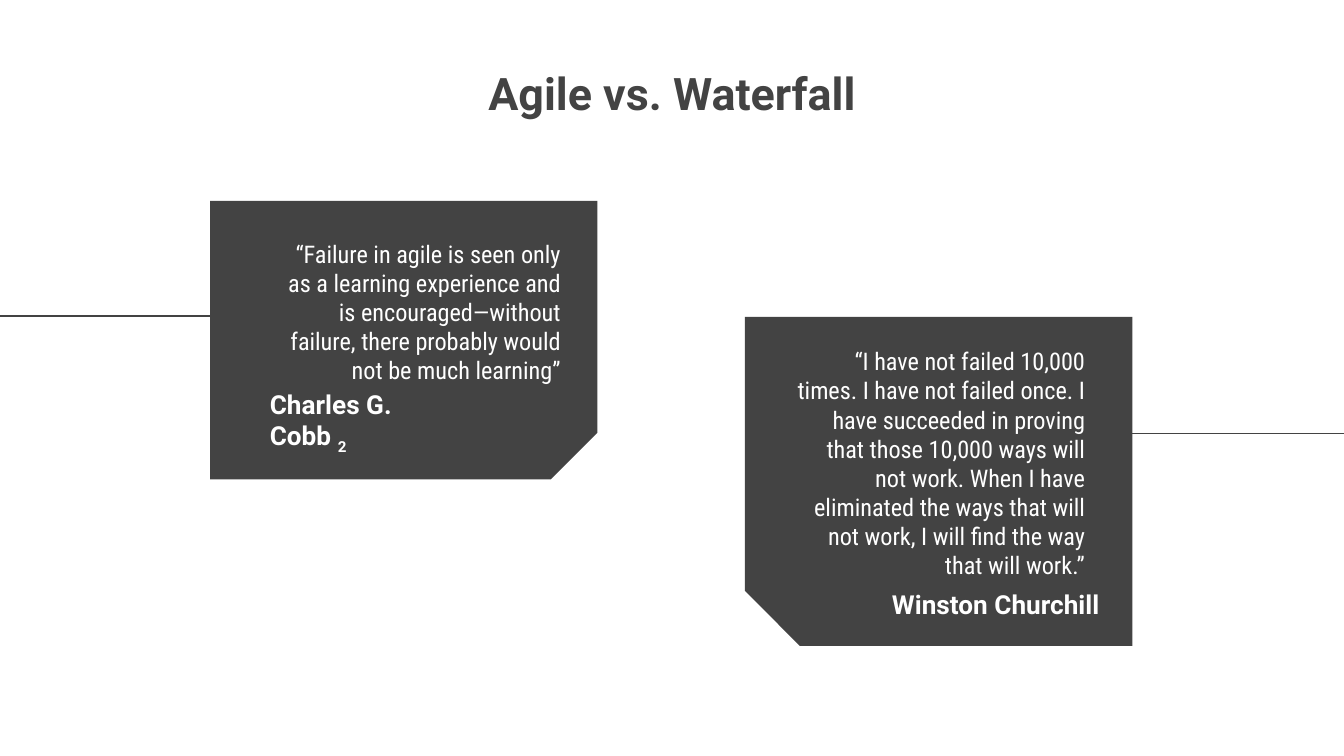
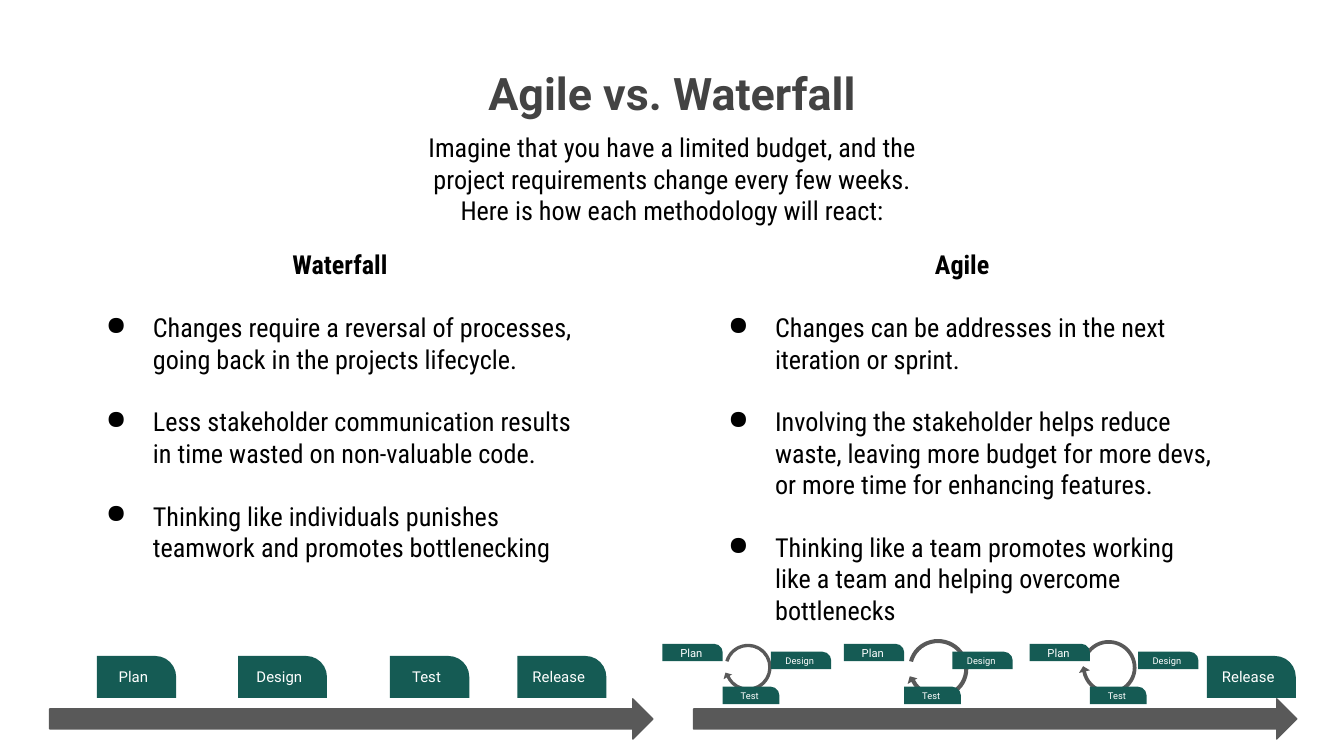
import pptx
import pptx.util
import pptx.dml.color
import pptx.enum.shapes
import pptx.enum.text
import pptx.oxml.ns
import pptx.oxml.xmlchemy

Cm = pptx.util.Cm
Pt = pptx.util.Pt
SHAPE = pptx.enum.shapes.MSO_SHAPE
ALIGN = pptx.enum.text.PP_ALIGN
ANCHOR = pptx.enum.text.MSO_ANCHOR

COLORS = {"dark": "434343", "gray": "595959", "green": "155B54",
          "white": "FFFFFF", "black": "000000"}
HEAD, BODY = "Roboto", "Roboto Condensed"
INSET = 0.25
LINE_GAP = 16.9

TITLE = "Agile vs. Waterfall"

QUOTES = [
    {"card": (14.63, 5.44, 6.22, 7.32), "rotation": 270, "flip": True,
     "rule": (25.4, 18.57, 8.2),
     "quote": "“I have not failed 10,000 times. I have not failed once. I have succeeded in proving "
              "that those 10,000 ways will not work. When I have eliminated the ways that will "
              "not work, I will find the way that will work.”",
     "quote_box": (14.76, 6.3, 5.99, 4.42),
     "author": "Winston Churchill", "note": "",
     "author_box": (15.77, 10.87, 5.26, 1.09), "author_align": ALIGN.RIGHT},
    {"card": (5, 2.77, 5.26, 7.32), "rotation": 90, "flip": False,
     "rule": (6.73, 0, 5.97),
     "quote": "“Failure in agile is seen only as a learning experience and is encouraged—without "
              "failure, there probably would not be much learning”",
     "quote_box": (4.85, 4.27, 5.99, 2.79),
     "author": "Charles G. Cobb ", "note": "2",
     "author_box": (4.85, 7.72, 3.51, 1.14), "author_align": ALIGN.LEFT},
]

INTRO = [
    "Imagine that you have a limited budget, and the project requirements change every few weeks.",
    "Here is how each methodology will react:",
]
METHODS = [
    (1.37, "Waterfall", [
        "Changes require a reversal of processes, going back in the projects lifecycle.",
        "Less stakeholder communication results in time wasted on non-valuable code.",
        "Thinking like individuals punishes teamwork and promotes bottlenecking",
    ]),
    (13.13, "Agile", [
        "Changes can be addresses in the next iteration or sprint.",
        "Involving the stakeholder helps reduce waste, leaving more budget for more devs, "
        "or more time for enhancing features.",
        "Thinking like a team promotes working like a team and helping overcome bottlenecks",
    ]),
]

TIMELINES = [0.94, 13.11]
PHASES = [("Plan", 1.83, 1.5), ("Design", 4.5, 1.68), ("Test", 7.37, 1.5),
          ("Release", 9.78, 1.68), ("Release", 22.81, 1.68)]
SPRINT_STEPS = [("Plan", 0, 12.17, 1.14, 6), ("Design", 2.05, 12.32, 1.14, 5),
                ("Test", 1.14, 12.98, 1.07, 5)]
SPRINTS = [
    {"left": 12.52, "arc": (13.69, 12.17, 0.89, 0.89), "tip": (13.69, 12.73, 0.13, 0.13), "turn": 105.9},
    {"left": 15.95, "arc": (17.17, 12.07, 1.12, 1.14), "tip": (17.17, 12.8, 0.15, 0.15), "turn": 104.8},
    {"left": 19.46, "arc": (20.45, 12.09, 1.02, 1.04), "tip": (20.42, 12.62, 0.15, 0.15), "turn": 121.1},
]


def rgb(name):
    return pptx.dml.color.RGBColor.from_string(COLORS[name])


def add_element(parent, tag, **attributes):
    child = pptx.oxml.xmlchemy.OxmlElement(tag)
    for name, value in attributes.items():
        child.set(name, value)
    parent.append(child)
    return child


def add_run(p, text, size, font, color, bold=False):
    r = p.add_run()
    r.text = text
    r.font.size = Pt(size)
    r.font.name = font
    r.font.bold = bold
    r.font.color.rgb = rgb(color)
    return r


def set_frame(sp, anchor):
    tf = sp.text_frame
    tf.word_wrap = True
    tf.vertical_anchor = anchor
    tf.margin_left = tf.margin_right = tf.margin_top = tf.margin_bottom = Cm(INSET)
    return tf


def add_text(slide, box, paragraphs, size, font, color, align, bold=False, anchor=ANCHOR.TOP):
    tf = set_frame(slide.shapes.add_textbox(*map(Cm, box)), anchor)
    for i, text in enumerate(paragraphs):
        p = tf.add_paragraph() if i else tf.paragraphs[0]
        p.alignment = align
        add_run(p, text, size, font, color, bold)
    return tf


def add_shape(slide, kind, box, color, rotation=0, adjustments=(), outline=False):
    sp = slide.shapes.add_shape(kind, *map(Cm, box))
    sp.shadow.inherit = False
    sp.rotation = rotation
    sp.fill.solid()
    sp.fill.fore_color.rgb = rgb(color)
    if outline:
        sp.line.color.rgb = rgb(color)
        sp.line.width = Pt(0.75)
    else:
        sp.line.fill.background()
    for i, value in enumerate(adjustments):
        sp.adjustments[i] = value
    return sp


def add_rule(slide, start, end, y):
    line = slide.shapes.add_connector(pptx.enum.shapes.MSO_CONNECTOR.STRAIGHT,
                                      Cm(start), Cm(y), Cm(end), Cm(y))
    line.line.color.rgb = rgb("dark")
    line.line.width = Pt(0.75)
    add_element(line._element.spPr, "a:effectLst")


def add_step(slide, text, box, size):
    sp = add_shape(slide, SHAPE.ROUND_1_RECTANGLE, box, "green", adjustments=[0.5])
    p = set_frame(sp, ANCHOR.MIDDLE).paragraphs[0]
    p.alignment = ALIGN.CENTER
    add_run(p, text, size, HEAD, "white")


def add_bullet(p):
    pPr = p._p.get_or_add_pPr()
    pPr.set("marL", str(int(Cm(1.27))))
    pPr.set("indent", str(-int(Cm(0.89))))
    add_element(add_element(pPr, "a:buClr"), "a:srgbClr", val=COLORS["black"])
    add_element(pPr, "a:buChar", char="●")


def add_slide(prs, title_height):
    slide = prs.slides.add_slide(prs.slide_layouts[6])
    add_text(slide, (5.46, 0.99, 14.48, title_height), [TITLE], 24, HEAD, "dark", ALIGN.CENTER, True)
    return slide


def build_quotes(prs):
    slide = add_slide(prs, 2.62)
    for q in QUOTES:
        card = add_shape(slide, SHAPE.SNIP_1_RECTANGLE, q["card"], "dark", q["rotation"], [0.167])
        if q["flip"]:
            card._element.spPr.find(pptx.oxml.ns.qn("a:xfrm")).set("flipH", "1")
        add_rule(slide, *q["rule"])
        add_text(slide, q["quote_box"], [q["quote"]], 13, BODY, "white", ALIGN.RIGHT)
        tf = add_text(slide, q["author_box"], [q["author"]], 14, HEAD, "white",
                      q["author_align"], True, ANCHOR.BOTTOM)
        if q["note"]:
            r = add_run(tf.paragraphs[0], q["note"], 14, HEAD, "white", True)
            r.font._element.set("baseline", "-25000")


def build_comparison(prs):
    slide = add_slide(prs, 1.57)
    add_text(slide, (7.65, 2.24, 10.11, 2.64), INTRO, 14, BODY, "black", ALIGN.CENTER)
    for left, name, points in METHODS:
        tf = add_text(slide, (left, 4.45, 10.11, 6.86), [name], 14, BODY, "black", ALIGN.CENTER, True)
        for point in points:
            p = tf.add_paragraph()
            add_bullet(p)
            p.space_before = Pt(LINE_GAP)
            add_run(p, point, 14, BODY, "black")

    for left in TIMELINES:
        add_shape(slide, SHAPE.RIGHT_ARROW, (left, 13.21, 11.4, 0.76), "gray", outline=True)
    for s in SPRINTS:
        add_shape(slide, SHAPE.BLOCK_ARC, s["arc"], "gray", s["turn"], [53.998, 30.127, 0.069])
        add_shape(slide, SHAPE.RIGHT_TRIANGLE, s["tip"], "gray", s["turn"])
        for text, offset, top, width, size in SPRINT_STEPS:
            add_step(slide, text, (s["left"] + offset, top, width, 0.33), size)
    for text, left, width in PHASES:
        add_step(slide, text, (left, 12.4, width, 0.79), 8)


def main():
    prs = pptx.Presentation()
    prs.slide_width, prs.slide_height = Cm(25.4), Cm(14.29)
    build_quotes(prs)
    build_comparison(prs)
    prs.save("out.pptx")


if __name__ == "__main__":
    main()
